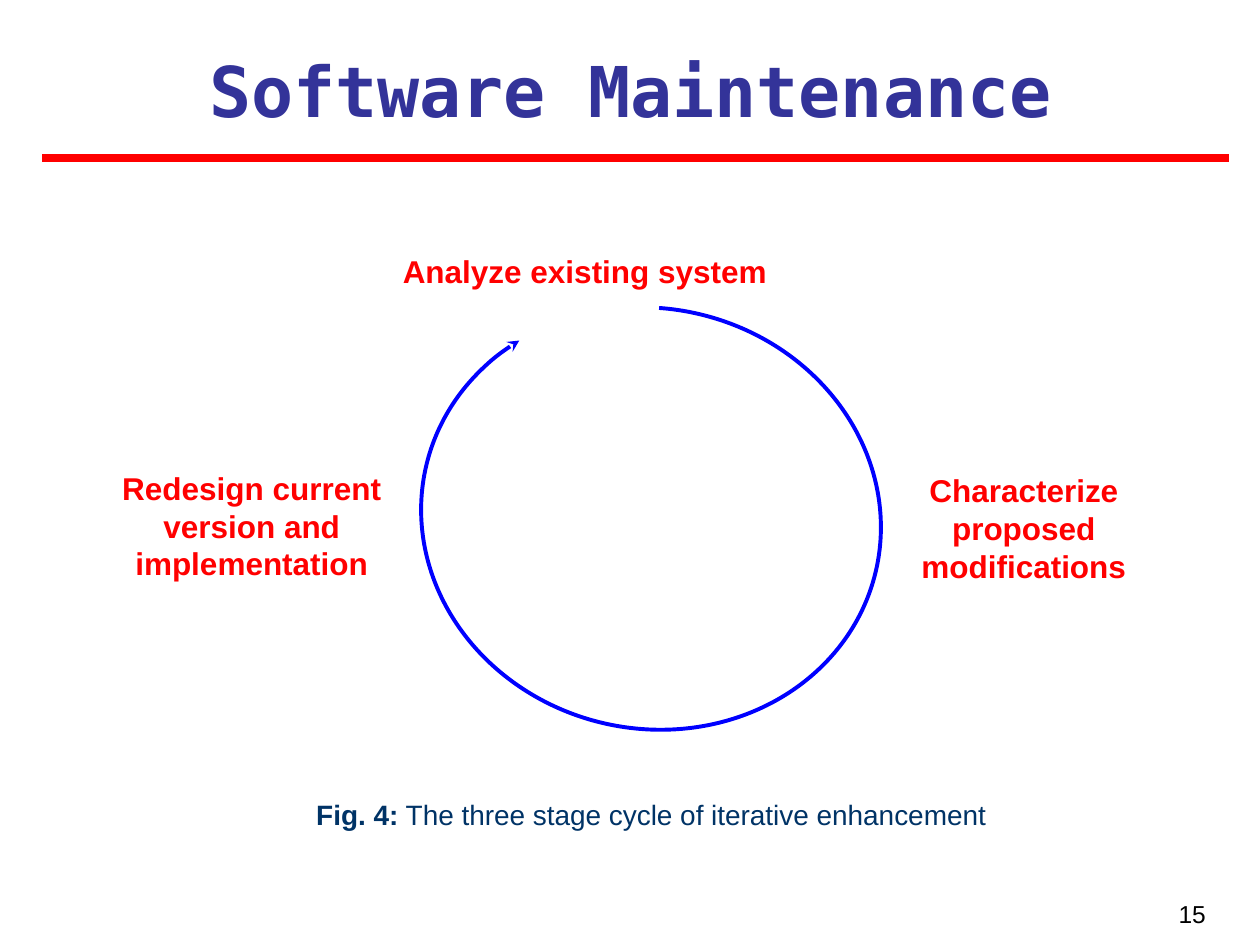
from pptx import Presentation
from pptx.dml.color import RGBColor
from pptx.enum.shapes import MSO_CONNECTOR, MSO_SHAPE
from pptx.enum.text import MSO_ANCHOR, MSO_AUTO_SIZE, PP_ALIGN
from pptx.oxml.ns import qn
from pptx.util import Cm, Pt
from lxml.etree import SubElement

TITLE = "Software Maintenance"
STAGES = [
    ("Analyze existing system", (7.24, 5.08, 9.1, 0.76)),
    ("Characterize proposed modifications", (18.2, 9.5, 4.88, 2.29)),
    ("Redesign current version and implementation", (1.9, 9.45, 6.35, 2.29)),
]
CAPTION = [("Fig. 4:", True), (" The three stage cycle of iterative enhancement", False)]
PAGE = "15"

THEME = {
    "title": ("DejaVu Sans Mono", 40, "333399"),
    "stage": ("Arial", 18, "FF0000"),
    "caption": ("Arial", 16, "003366"),
    "page": ("Arial", 14, "000000"),
    "rule": ("FF0000", 4.5),
    "cycle": ("0000FF", 2.25),
}
ARC_START, ARC_END, ARC_TURN = 259.1, 220.4, 13.1


def place(sp, box):
    sp.left, sp.top, sp.width, sp.height = map(Cm, box)


def write(sp, runs, role, align=PP_ALIGN.CENTER, inset=(0, 0), anchor=MSO_ANCHOR.TOP):
    tf = sp.text_frame
    tf.word_wrap = True
    tf.auto_size = MSO_AUTO_SIZE.NONE
    tf.vertical_anchor = anchor
    tf.margin_left = tf.margin_right = Cm(inset[0])
    tf.margin_top = tf.margin_bottom = Cm(inset[1])
    p = tf.paragraphs[0]
    p.alignment = align
    name, size, color = THEME[role]
    p.font.name, p.font.size = name, Pt(size)
    p.font.color.rgb = RGBColor.from_string(color)
    for text, bold in runs:
        r = p.add_run()
        r.text, r.font.bold = text, bold


def add_text(s, box, *args, **kwargs):
    write(s.shapes.add_textbox(*map(Cm, box)), *args, **kwargs)


def stroke(sp, role):
    color, width = THEME[role]
    sp.line.color.rgb = RGBColor.from_string(color)
    sp.line.width = Pt(width)


def add_rule(s):
    sp = s.shapes.add_connector(MSO_CONNECTOR.STRAIGHT, Cm(0.85), Cm(3.19), Cm(24.77), Cm(3.19))
    stroke(sp, "rule")
    SubElement(sp._element.spPr, qn("a:effectLst"))


def add_cycle(s):
    sp = s.shapes.add_shape(MSO_SHAPE.ARC, *map(Cm, (8.47, 6.22, 9.31, 8.47)))
    sp.adjustments[0], sp.adjustments[1] = ARC_START * 0.6, ARC_END * 0.6
    sp.rotation = ARC_TURN
    sp.shadow.inherit = False
    sp.fill.background()
    stroke(sp, "cycle")
    SubElement(sp.line._get_or_add_ln(), qn("a:tailEnd"), type="stealth")


def main():
    prs = Presentation()
    prs.slide_width, prs.slide_height = Cm(25.4), Cm(19.05)
    s = prs.slides.add_slide(prs.slide_layouts[5])
    place(s.shapes.title, (0.85, 0.82, 23.71, 1.96))
    write(s.shapes.title, [(TITLE, True)], "title", inset=(0.25, 0.13), anchor=MSO_ANCHOR.MIDDLE)
    add_rule(s)
    add_cycle(s)
    for text, box in STAGES:
        add_text(s, box, [(text, True)], "stage")
    add_text(s, (5.72, 16.08, 14.82, 0.69), CAPTION, "caption")
    add_text(s, (18.63, 17.99, 5.93, 1.06), [(PAGE, False)], "page",
             align=PP_ALIGN.RIGHT, inset=(0.25, 0.13))
    prs.save("out.pptx")


if __name__ == "__main__":
    main()
